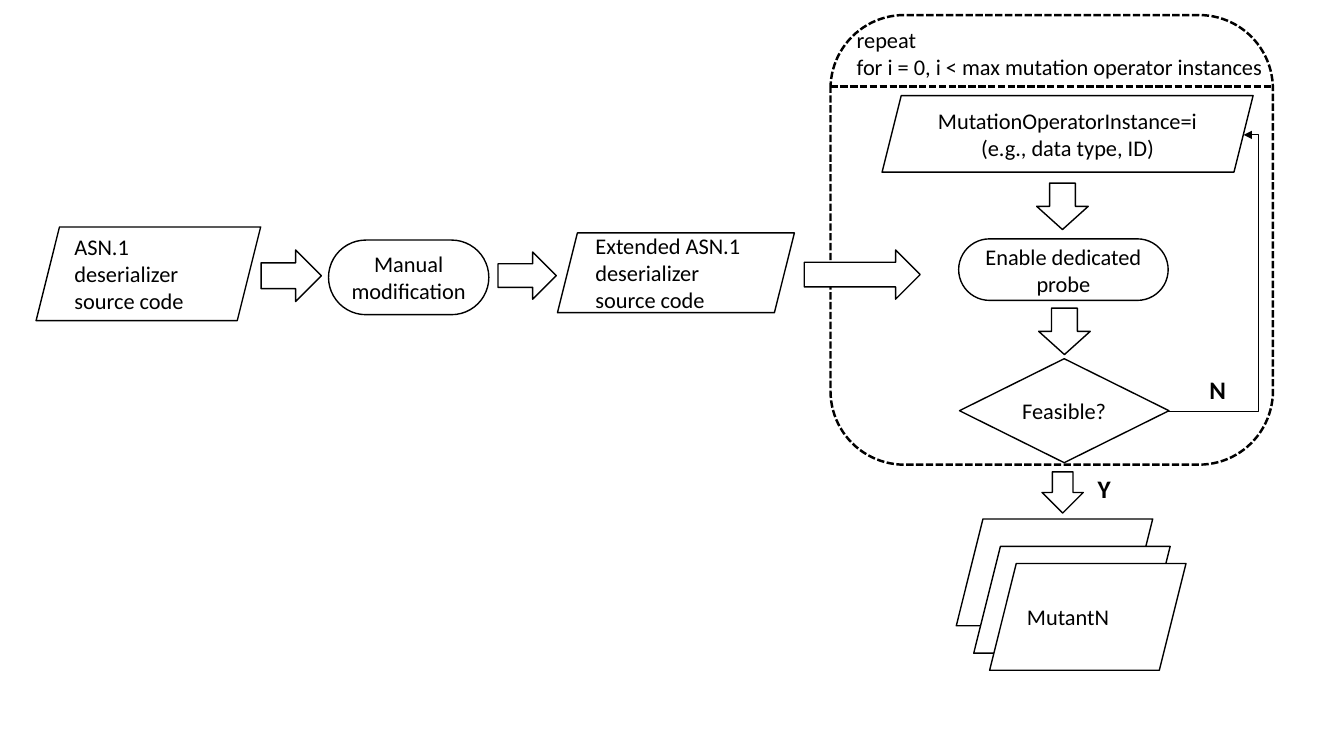
"""Build the flowchart of mutant generation for an ASN.1 deserializer."""
from pptx import Presentation
from pptx.dml.color import RGBColor
from pptx.enum import dml, shapes, text
from pptx.oxml.ns import qn
from pptx.util import Cm, Pt

KIND = shapes.MSO_SHAPE
CENTER, LEFT = text.PP_ALIGN.CENTER, text.PP_ALIGN.LEFT
INK, PAPER = "000000", "FFFFFF"
FEEDBACK_BEND = 120000


def color(value):
    """Turn a hex string into a colour."""
    return RGBColor.from_string(value)


def style_line(line, width, dashed=False):
    """Set the ink, width and dash of a line."""
    line.color.rgb = color(INK)
    line.width = Pt(width)
    if dashed:
        line.dash_style = dml.MSO_LINE.SQUARE_DOT


def write(shape, *paragraphs, size=16, bold=False, align=CENTER, wrap=True,
          anchor=text.MSO_ANCHOR.MIDDLE):
    """Write formatted paragraphs into a shape."""
    frame = shape.text_frame
    frame.word_wrap = wrap
    frame.vertical_anchor = anchor
    for index, content in enumerate(paragraphs):
        paragraph = frame.add_paragraph() if index else frame.paragraphs[0]
        paragraph.text = content
        paragraph.alignment = align
        for run in paragraph.runs:
            run.font.name = "Calibri"
            run.font.size = Pt(size)
            run.font.bold = bold
            run.font.color.rgb = color(INK)


def add_box(slide, kind, box, *paragraphs, align=CENTER, filled=True, rounding=None,
            width=1, dashed=False):
    """Add an outlined preset shape with optional text."""
    shape = slide.shapes.add_shape(kind, *map(Cm, box))
    shape.shadow.inherit = False
    if filled:
        shape.fill.solid()
        shape.fill.fore_color.rgb = color(PAPER)
    else:
        shape.fill.background()
    style_line(shape.line, width, dashed)
    if rounding is not None:
        shape.adjustments[0] = rounding
    if paragraphs:
        write(shape, *paragraphs, align=align)
    return shape


def add_arrow(slide, box, rotation=0):
    """Add a block arrow, turned clockwise by the rotation."""
    add_box(slide, KIND.RIGHT_ARROW, box).rotation = rotation


def add_label(slide, box, *paragraphs, **style):
    """Add an unwrapped text box."""
    label = slide.shapes.add_textbox(*map(Cm, box))
    write(label, *paragraphs, align=LEFT, wrap=False, anchor=text.MSO_ANCHOR.TOP, **style)
    label.text_frame.auto_size = text.MSO_AUTO_SIZE.SHAPE_TO_FIT_TEXT


def add_line(slide, kind, ends, width, dashed=False):
    """Add a connector without a shadow."""
    line = slide.shapes.add_connector(kind, *map(Cm, ends))
    style_line(line.line, width, dashed)
    properties = line._element.spPr
    properties.append(properties.makeelement(qn("a:effectLst"), {}))
    return line


def add_feedback(slide, ends):
    """Add the bent arrow that leads back to the start of the loop."""
    line = add_line(slide, shapes.MSO_CONNECTOR.ELBOW, ends, 0.75)
    outline = line.line._get_or_add_ln()
    outline.append(outline.makeelement(qn("a:tailEnd"), {"type": "triangle"}))
    geometry = line._element.spPr.find(qn("a:prstGeom"))
    guides = geometry.find(qn("a:avLst"))
    guides.append(guides.makeelement(
        qn("a:gd"), {"name": "adj1", "fmla": f"val {FEEDBACK_BEND}"}))


def add_preparation(slide):
    """Add the steps that lead from the source code to the loop."""
    add_box(slide, KIND.PARALLELOGRAM, (0.91, 5.72, 5.66, 2.36),
            "ASN.1 deserializer source code", align=LEFT)
    add_box(slide, KIND.ROUNDED_RECTANGLE, (8.28, 6.05, 4.04, 1.88),
            "Manual", "modification", rounding=0.5)
    add_box(slide, KIND.PARALLELOGRAM, (14.05, 5.87, 5.97, 2.01),
            "Extended ASN.1 deserializer source code", align=LEFT)
    for box in ((6.58, 6.3, 1.52, 1.3), (12.55, 6.35, 1.47, 1.19), (20.27, 6.3, 2.92, 1.24)):
        add_arrow(slide, box)


def add_loop(slide):
    """Add the repeated steps and their dashed frame."""
    add_box(slide, KIND.ROUNDED_RECTANGLE, (20.93, 0.38, 11.15, 11.33),
            filled=False, width=1.75, dashed=True)
    add_label(slide, (21.34, 0.53, 10.87, 1.63),
              "repeat", "for i = 0, i < max mutation operator instances")
    add_line(slide, shapes.MSO_CONNECTOR.STRAIGHT, (20.93, 2.18, 32.06, 2.18), 1.75, dashed=True)
    add_box(slide, KIND.PARALLELOGRAM, (22.23, 2.41, 9.35, 1.93),
            "MutationOperatorInstance=i\n(e.g., data type, ID)")
    add_box(slide, KIND.ROUNDED_RECTANGLE, (24.16, 6.02, 5.28, 1.55),
            "Enable dedicated probe", rounding=0.5)
    add_box(slide, KIND.DIAMOND, (24.18, 9.04, 5.28, 2.62), "Feasible?", filled=False)
    for box in ((26.19, 4.55, 1.17, 1.3), (26.24, 7.7, 1.17, 1.3), (26.26, 11.89, 1.04, 1.04)):
        add_arrow(slide, box, rotation=90)
    add_feedback(slide, (29.44, 10.36, 31.34, 3.4))
    add_label(slide, (27.41, 11.81, 0.84, 1.02), "Y", size=18, bold=True)
    add_label(slide, (30.23, 9.32, 0.94, 1.02), "N", size=18, bold=True)


def add_mutants(slide):
    """Add the stack of resulting mutants."""
    for left, top, names in ((24.1, 13.08, ()), (24.54, 13.77, ()), (24.94, 14.2, ("MutantN",))):
        add_box(slide, KIND.PARALLELOGRAM, (left, top, 4.95, 2.69), *names, align=LEFT)


def main():
    """Build and save the presentation."""
    presentation = Presentation()
    presentation.slide_width, presentation.slide_height = Cm(33.87), Cm(19.05)
    slide = presentation.slides.add_slide(presentation.slide_layouts[6])
    add_loop(slide)
    add_preparation(slide)
    add_mutants(slide)
    presentation.save("out.pptx")


if __name__ == "__main__":
    main()
